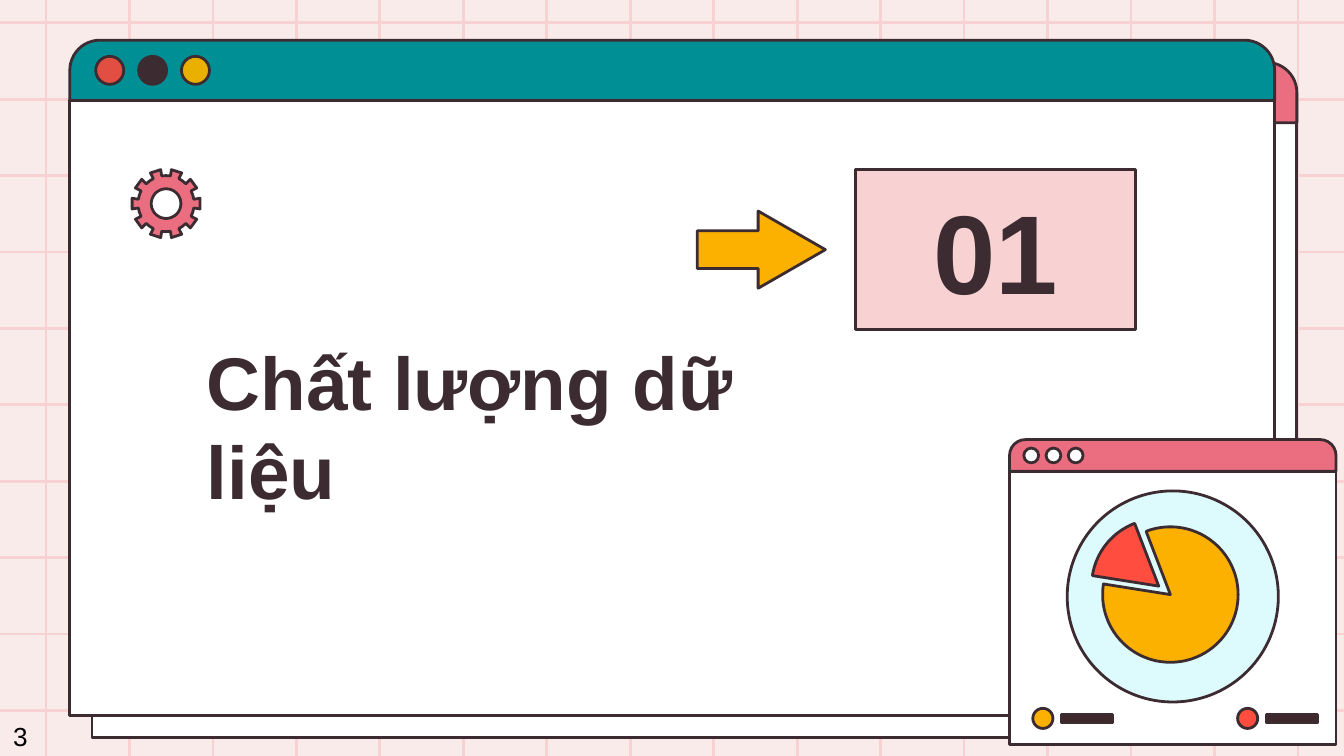
import math
from dataclasses import dataclass

import pptx
import pptx.dml.color
import pptx.enum.shapes
import pptx.enum.text
import pptx.util
from lxml import etree
from pptx.oxml.ns import qn

Cm = pptx.util.Cm
Pt = pptx.util.Pt
Kind = pptx.enum.shapes.MSO_SHAPE
Align = pptx.enum.text.PP_ALIGN
Anchor = pptx.enum.text.MSO_ANCHOR

INK, WHITE, PALE_PINK, PINK = "3C2C31", "FFFFFF", "F8D2D2", "EB6E80"
AMBER, CORAL = "FCB100", "FF4D3F"
FONT = "Arial"


@dataclass
class Window:
    """A browser window; all lengths in centimetres."""
    left: float
    top: float
    width: float
    bar_height: float
    body_height: float
    bar_colour: str
    dot_colours: tuple[str, ...]
    dot_size: float
    dot_pitch: float
    dot_left: float


@dataclass
class LegendItem:
    left: float
    colour: str


def rgb(colour: str) -> pptx.dml.color.RGBColor:
    return pptx.dml.color.RGBColor.from_string(colour)


def style(shape, fill: str) -> None:
    shape.shadow.inherit = False
    shape.fill.solid()
    shape.fill.fore_color.rgb = rgb(fill)
    shape.line.color.rgb = rgb(INK)
    shape.line.width = Pt(1.5)


def add_shape(slide, kind, left: float, top: float, width: float, height: float,
              fill: str, adjustments: tuple[float, ...] = ()):
    shape = slide.shapes.add_shape(kind, Cm(left), Cm(top), Cm(width), Cm(height))
    for index, value in enumerate(adjustments):
        shape.adjustments[index] = value
    style(shape, fill)
    return shape


def add_outline(slide, contours: list[list[tuple[float, float]]], fill: str) -> None:
    """Draw closed contours as one freeform."""
    points = [[(Cm(x), Cm(y)) for x, y in contour] for contour in contours]
    builder = slide.shapes.build_freeform(*points[0][0])
    builder.add_line_segments(points[0][1:], close=True)
    for contour in points[1:]:
        builder.move_to(*contour[0])
        builder.add_line_segments(contour[1:], close=True)
    style(builder.convert_to_shape(), fill)


def polar(x: float, y: float, radius: float, degrees: float) -> tuple[float, float]:
    angle = math.radians(degrees)
    return x + radius * math.cos(angle), y + radius * math.sin(angle)


def add_sector(slide, x: float, y: float, radius: float,
               start: int, end: int, fill: str) -> None:
    arc = [polar(x, y, radius, degrees) for degrees in range(start, end + 1)]
    add_outline(slide, [[(x, y)] + arc], fill)


def add_gear(slide, x: float, y: float, teeth: int, fill: str) -> None:
    tip, root, hole, half_tooth = 0.65, 0.53, 0.28, 9
    step = 360 / teeth
    rim = []
    for tooth in range(teeth):
        middle = tooth * step
        corners = [(root, -half_tooth), (tip, -half_tooth), (tip, half_tooth),
                   (root, half_tooth), (root, step / 2)]
        rim += [polar(x, y, radius, middle + turn) for radius, turn in corners]
    inside = [polar(x, y, hole, degrees) for degrees in range(360, 0, -6)]
    add_outline(slide, [rim, inside], fill)


def add_grid_line(slide, x1: float, y1: float, x2: float, y2: float) -> None:
    line = slide.shapes.add_connector(pptx.enum.shapes.MSO_CONNECTOR.STRAIGHT,
                                      Cm(x1), Cm(y1), Cm(x2), Cm(y2))
    line.line.color.rgb = rgb(PALE_PINK)
    line.line.width = Pt(1.5)
    etree.SubElement(line._element.spPr, qn("a:effectLst"))


def add_window(slide, window: Window) -> None:
    add_shape(slide, Kind.RECTANGLE, window.left, window.top + window.bar_height,
              window.width, window.body_height, WHITE)
    add_shape(slide, Kind.ROUND_2_SAME_RECTANGLE, window.left, window.top,
              window.width, window.bar_height, window.bar_colour, (0.5, 0))
    dot_top = window.top + (window.bar_height - window.dot_size) / 2
    for index, colour in enumerate(window.dot_colours):
        add_shape(slide, Kind.OVAL, window.left + window.dot_left + index * window.dot_pitch,
                  dot_top, window.dot_size, window.dot_size, colour)


def add_legend_item(slide, item: LegendItem) -> None:
    add_shape(slide, Kind.OVAL, item.left, 13.39, 0.38, 0.38, item.colour)
    add_shape(slide, Kind.RECTANGLE, item.left + 0.54, 13.51, 0.97, 0.16, "3E282C")


def set_text(shape, text: str, size: float, colour: str, bold: bool = False,
             align=Align.LEFT, anchor=Anchor.TOP, margin: float = 0.25) -> None:
    frame = shape.text_frame
    frame.word_wrap = True
    frame.vertical_anchor = anchor
    frame.margin_left = frame.margin_right = Cm(0.25)
    frame.margin_top = frame.margin_bottom = Cm(margin)
    paragraph = frame.paragraphs[0]
    paragraph.text = text
    paragraph.alignment = align
    paragraph.font.name = FONT
    paragraph.font.size = Pt(size)
    paragraph.font.bold = bold
    paragraph.font.color.rgb = rgb(colour)


def main() -> None:
    presentation = pptx.Presentation()
    presentation.slide_width, presentation.slide_height = Cm(25.4), Cm(14.29)
    slide = presentation.slides.add_slide(presentation.slide_layouts[6])
    slide.background.fill.solid()
    slide.background.fill.fore_color.rgb = rgb("FAEBEB")

    # Background grid
    columns, rows = 16, 10
    for column in range(columns):
        x = 0.87 + column * (24.53 - 0.87) / (columns - 1)
        add_grid_line(slide, x, 14.78, x, -0.91)
    for row in range(rows):
        y = 0.43 + row * (13.43 - 0.43) / (rows - 1)
        add_grid_line(slide, -0.56, y, 25.96, y)

    # Two stacked main windows
    dots = ("E24E42", INK, "E9B000")
    for left, top, colour in ((1.74, 1.18, PINK), (1.32, 0.76, "008F95")):
        add_window(slide, Window(left, top, 22.77, 1.14, 11.62, colour,
                                 dots, 0.53, 0.81, 0.49))

    # Title and section number
    title = slide.shapes.add_textbox(Cm(3.66), Cm(5.84), Cm(10.97), Cm(4.14))
    set_text(title, "Chất lượng dữ liệu", 40, INK, bold=True, anchor=Anchor.BOTTOM)
    number = add_shape(slide, Kind.RECTANGLE, 16.17, 3.2, 5.29, 3.03, PALE_PINK)
    set_text(number, "01", 60, INK, bold=True, align=Align.CENTER, anchor=Anchor.MIDDLE)
    add_shape(slide, Kind.RIGHT_ARROW, 13.18, 3.99, 2.42, 1.46, AMBER, (0.49, 0.87))

    # Small window with pie and legend
    add_window(slide, Window(19.08, 8.31, 6.17, 0.6, 5.16, PINK,
                             (WHITE,) * 3, 0.28, 0.42, 0.27))
    for item in (LegendItem(19.52, AMBER), LegendItem(23.39, CORAL)):
        add_legend_item(slide, item)
    add_shape(slide, Kind.OVAL, 20.17, 9.28, 3.99, 3.99, "DDFBFC")
    add_sector(slide, 22.12, 11.24, 1.28, 249, 549, AMBER)
    add_sector(slide, 21.9, 11.08, 1.27, 189, 249, CORAL)

    # Gear and page number
    add_gear(slide, 3.14, 3.85, 10, PINK)
    page = slide.shapes.add_textbox(Cm(0), Cm(13.49), Cm(0.79), Cm(0.86))
    set_text(page, "3", 14, "000000", margin=0.13)

    presentation.save("out.pptx")


if __name__ == "__main__":
    main()
